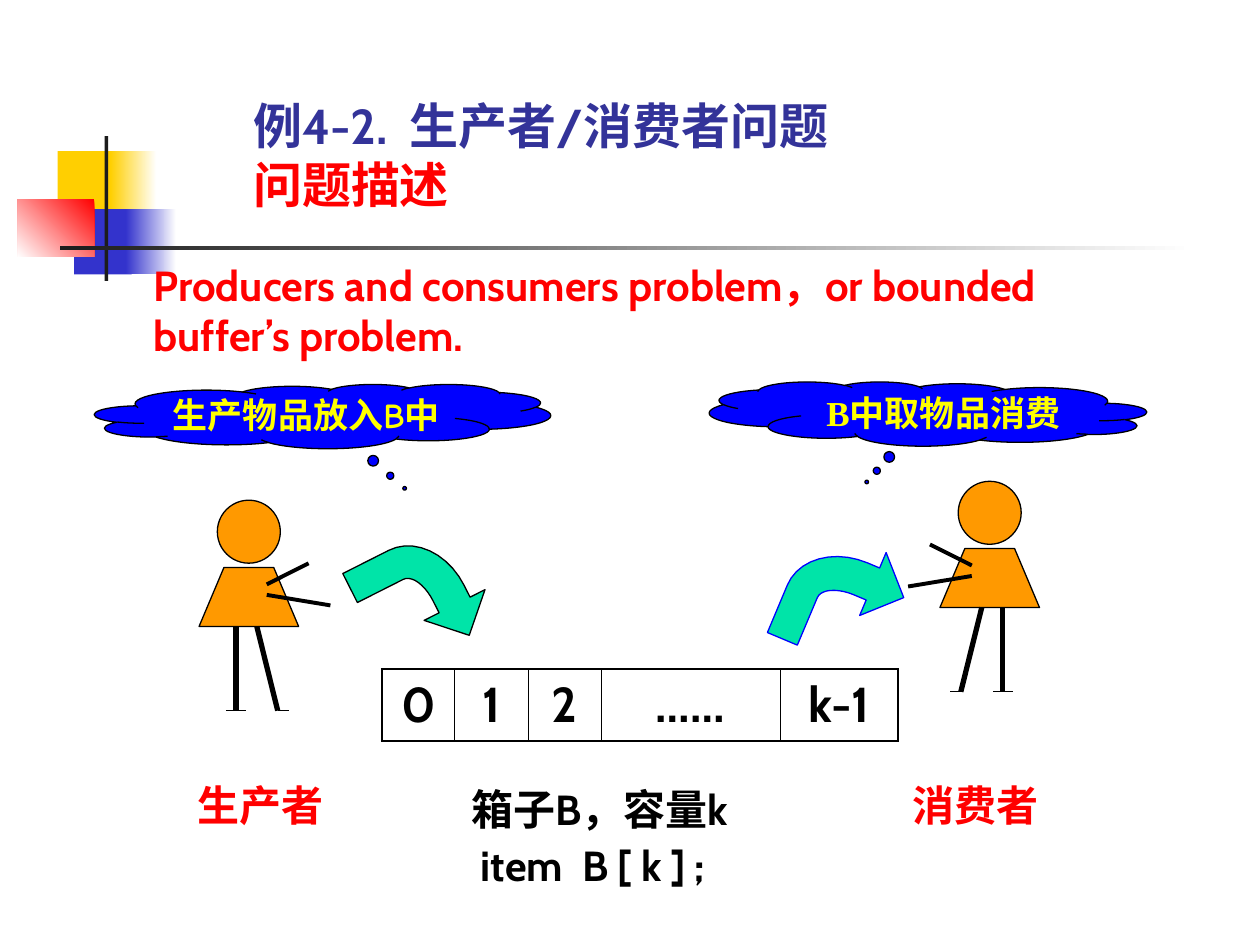
import math

import lxml.etree
import pptx
import pptx.dml.color
import pptx.enum.shapes
import pptx.enum.text
import pptx.oxml.ns
import pptx.util

COLUMNS, ROWS = 100, 75
SHAPE = pptx.enum.shapes.MSO_SHAPE
ALIGN = pptx.enum.text.PP_ALIGN
ANCHOR = pptx.enum.text.MSO_ANCHOR
qn = pptx.oxml.ns.qn

prs = pptx.Presentation()
prs.slide_width = pptx.util.Inches(10)
prs.slide_height = pptx.util.Inches(7.5)


def grid(*cells):
    units = (prs.slide_width / COLUMNS, prs.slide_height / ROWS)
    return [pptx.util.Emu(round(n * units[i % 2])) for i, n in enumerate(cells)]


def rgb(color):
    return pptx.dml.color.RGBColor.from_string(color)


def apply(obj, values):
    for name, value in values.items():
        setattr(obj, name, value)


def paint(sp, fill, line=None):
    sp.shadow.inherit = False
    sp.fill.solid()
    sp.fill.fore_color.rgb = rgb(fill)
    if line:
        sp.line.color.rgb = rgb(line)
        sp.line.width = pptx.util.Pt(0.75)
    else:
        sp.line.fill.background()


def write(tf, lines, size, font, color, frame=None, para=None):
    apply(tf, {"margin_left": 0, "margin_right": 0, "margin_top": 0,
               "margin_bottom": 0, "word_wrap": True, **(frame or {})})
    for i, text in enumerate(lines):
        p = tf.add_paragraph() if i else tf.paragraphs[0]
        apply(p, para or {})
        add_run(p, text, size, font, color)


def add_run(p, text, size, font, color):
    r = p.add_run()
    r.text = text
    apply(r.font, {"size": pptx.util.Pt(size), "name": font, "bold": True})
    r.font.color.rgb = rgb(color)


def text_box(s, box, *args, **kwargs):
    tf = s.shapes.add_textbox(*grid(*box)).text_frame
    write(tf, *args, **kwargs)
    return tf


def polygon(shapes, points, fill, line):
    points = [tuple(grid(*point)) for point in points]
    builder = shapes.build_freeform(*points[0], scale=1.0)
    builder.add_line_segments(points[1:], close=True)
    sp = builder.convert_to_shape()
    paint(sp, fill, line)
    return sp


def stroke(shapes, start, end, width):
    sp = shapes.add_connector(pptx.enum.shapes.MSO_CONNECTOR.STRAIGHT,
                              *grid(*start, *end))
    sp.line.color.rgb = rgb("000000")
    sp.line.width = pptx.util.Pt(width)
    lxml.etree.SubElement(sp._element.spPr, qn("a:effectLst"))


def decoration(s, box):
    x, y, w, h = box
    bars = [
        (0.034, 0.105, 0.051, 0.45, "FFCF01", None),
        (0.079, 0.105, 0.039, 0.45, "FFCF01", 0),
        (0.048, 0.505, 0.049, 0.45, "3333CC", None),
        (0.092, 0.505, 0.043, 0.45, "3333CC", 0),
        (0, 0.435, 0.065, 0.4, "FF0000", 225),
        (0.074, 0, 0.003, 1, "1C1C1C", None),
        (0.036, 0.757, 0.964, 0.03, "1C1C1C", 0),
    ]
    for left, top, width, height, color, angle in bars:
        sp = s.shapes.add_shape(SHAPE.RECTANGLE, *grid(
            x + left * w, y + top * h, width * w, height * h))
        paint(sp, color)
        if angle is not None:
            sp.fill.gradient()
            sp.fill.gradient_angle = angle
            for stop, shade, position in zip(
                    sp.fill.gradient_stops, (color, "FFFFFF"), (0, 1)):
                stop.color.rgb = rgb(shade)
                stop.position = position


def title(s, box):
    tf = text_box(s, box, ["例4-2.  生产者/消费者问题 "], 28, "Cabin", "333399",
                  frame={"vertical_anchor": ANCHOR.BOTTOM})
    p = tf.paragraphs[0]
    p.add_line_break()
    add_run(p, "问题描述", 28, "Cabin", "FF0000")


def person(s, box, mirrored=False):
    x, y, w, h = box
    shapes = s.shapes.add_group_shape().shapes

    def at(across, down):
        return x + w * (1 - across if mirrored else across), y + h * down

    head = shapes.add_shape(SHAPE.OVAL, *grid(x + w / 2 - 2.5, y, 5, 5))
    paint(head, "FF9900", "000000")
    polygon(shapes, [at(0, 0.6), at(1, 0.6), at(0.75, 0.32), at(0.25, 0.32)],
            "FF9900", "000000")
    limbs = [
        ((0.37, 0.6), (0.37, 1), 3),
        ((0.58, 0.6), (0.79, 1), 3),
        ((0.68, 0.45), (1.32, 0.5), 2.25),
        ((0.68, 0.4), (1.1, 0.3), 2.25),
        ((0.27, 1), (0.47, 1), 0.75),
        ((0.79, 1), (0.9, 1), 0.75),
    ]
    for start, end, width in limbs:
        stroke(shapes, at(*start), at(*end), width)


def thought(s, box, text, font, tail, mirrored=False):
    sp = s.shapes.add_shape(SHAPE.CLOUD_CALLOUT, *grid(*box))
    paint(sp, "0000FF", "000000")
    for i, value in enumerate(tail):
        sp.adjustments[i] = value
    if mirrored:
        sp._element.spPr.find(qn("a:xfrm")).set("flipH", "1")
    write(sp.text_frame, [text], 20, font, "FFFF00",
          frame={"vertical_anchor": ANCHOR.MIDDLE},
          para={"alignment": ALIGN.CENTER})


def bent_arrow(s, box, rotation, line):
    x, y, w, h = box

    def bend(rx, ry):
        angles = [math.radians(9 * i) for i in range(11)]
        return [(0.58 - rx * math.cos(a), 0.57 - ry * math.sin(a)) for a in angles]

    outline = [(0, 1), *bend(0.58, 0.43), (0.7, 0.14), (0.7, 0), (1, 0.29),
               (0.7, 0.57), (0.7, 0.43), *reversed(bend(0.29, 0.14)), (0.29, 1)]
    sp = polygon(s.shapes, [(x + w * a, y + h * b) for a, b in outline],
                 "00E4A8", line)
    sp.rotation = rotation


def border(cell, side, width):
    ln = lxml.etree.SubElement(cell._tc.get_or_add_tcPr(), qn("a:ln" + side),
                               w=str(pptx.util.Pt(width)))
    fill = lxml.etree.SubElement(ln, qn("a:solidFill"))
    lxml.etree.SubElement(fill, qn("a:srgbClr"), val="000000")


def buffer(s, box, labels, shares):
    table = s.shapes.add_table(1, len(labels), *grid(*box)).table
    apply(table, {"first_row": False, "horz_banding": False})
    table.rows[0].height = grid(0, box[3])[1]
    last = len(labels) - 1
    for i, (label, share) in enumerate(zip(labels, shares)):
        table.columns[i].width = grid(box[2] * share / sum(shares))[0]
        cell = table.cell(0, i)
        widths = {"L": 0.45 if i else 1.08, "R": 0.45 if i < last else 1.08,
                  "T": 1.08, "B": 1.08}
        for side, width in widths.items():
            border(cell, side, width)
        cell.fill.background()
        cell.vertical_anchor = ANCHOR.MIDDLE
        p = cell.text_frame.paragraphs[0]
        p.alignment = ALIGN.CENTER
        add_run(p, label, 28, "Cabin", "000000")


def main():
    s = prs.slides.add_slide(prs.slide_layouts[6])
    decoration(s, (1.4, 10.8, 93.4, 11.5))
    text_box(s, (37.4, 61.8, 24.4, 8.8), ["箱子B，容量k", " item  B [ k ] ;"],
             24, "Cabin", "000000", para={"line_spacing": 1.1})
    person(s, (15.8, 39.7, 7.9, 16.7))
    person(s, (74.6, 38.2, 7.9, 16.7), mirrored=True)
    for left, name in ((15.7, "生产者"), (72.4, "消费者")):
        text_box(s, (left, 61.9, 10.6, 4), [name], 24, "Times New Roman", "FF0000")
    thought(s, (7.5, 30.5, 36.2, 5.1), "生产物品放入B中", "Comic Neue", (0.18, 1.12))
    thought(s, (56.3, 30.3, 34.7, 5.1), "B中取物品消费", "Times New Roman",
            (0.14, 1.06), mirrored=True)
    title(s, (20.1, 7.6, 50.4, 9.3))
    buffer(s, (30.3, 53.1, 41, 5.7), ["0", "1", "2", "……", "k-1"],
           [5.8, 5.8, 5.8, 14.2, 9.4])
    bent_arrow(s, (62.4, 42.8, 8.9, 9.5), 22.8, "0000FF")
    bent_arrow(s, (29, 42.6, 8.9, 9.5), 63.2, "000000")
    text_box(s, (12.2, 20.6, 70.1, 8),
             ["Producers and consumers problem，or bounded buffer’s problem."],
             24, "Cabin", "FF0000")
    prs.save("out.pptx")


if __name__ == "__main__":
    main()
